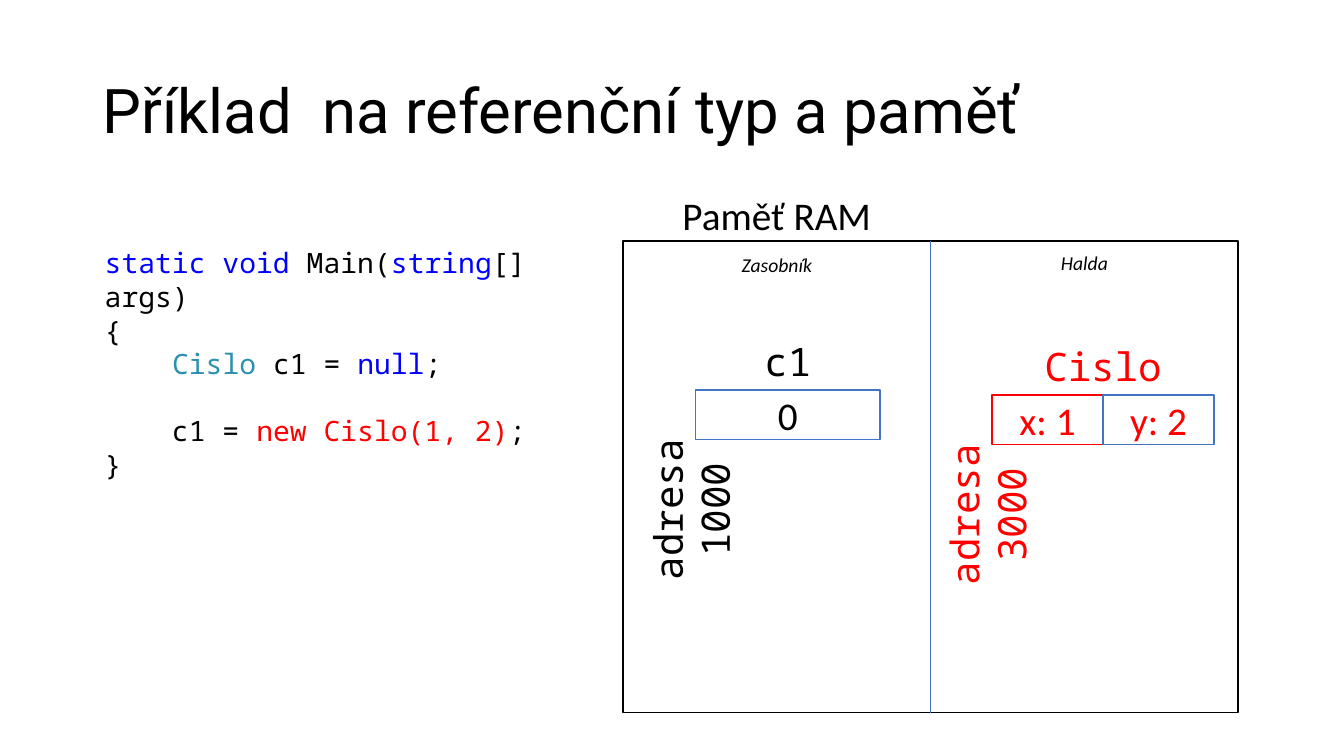
from lxml import etree
from pptx import Presentation
from pptx.dml.color import RGBColor
from pptx.enum.shapes import MSO_CONNECTOR, MSO_SHAPE
from pptx.enum.text import MSO_ANCHOR, MSO_AUTO_SIZE, PP_ALIGN
from pptx.oxml.ns import qn
from pptx.util import Inches, Pt

RECTANGLE, STRAIGHT = MSO_SHAPE.RECTANGLE, MSO_CONNECTOR.STRAIGHT
LEFT, CENTER = PP_ALIGN.LEFT, PP_ALIGN.CENTER
TOP, MIDDLE = MSO_ANCHOR.TOP, MSO_ANCHOR.MIDDLE
GROW, FIXED = MSO_AUTO_SIZE.SHAPE_TO_FIT_TEXT, MSO_AUTO_SIZE.NONE

BLACK = RGBColor(0, 0, 0)
WHITE = RGBColor(255, 255, 255)
RED = RGBColor(255, 0, 0)
KEYWORD = RGBColor(0, 0, 255)
TYPE_NAME = RGBColor(0x2B, 0x91, 0xAF)
ACCENT = RGBColor(0x44, 0x72, 0xC4)

SANS, MONO, HEADING = "Calibri", "Noto Sans Mono", "Roboto"

TITLE = "Příklad  na referenční typ a paměť"
CODE = [
    [("static void", KEYWORD), (" Main(", BLACK), ("string", KEYWORD), ("[] args)", BLACK)],
    [("{", BLACK)],
    [("    ", BLACK), ("Cislo", TYPE_NAME), (" c1 = ", BLACK), ("null", KEYWORD), (";", BLACK)],
    [("    c1 = ", BLACK), ("new Cislo(1, 2)", RED), (";", BLACK)],
    [("}", BLACK)],
]
CODE_GAPS = {3: 24}

RAM_X, RAM_Y, RAM_W, RAM_H = 6.18, 2.39, 6.1, 4.68
HALF = RAM_W / 2
HEAP_X = RAM_X + HALF
LABEL_H, CELL_H, REGION_H = 0.57, 0.49, 0.34
STACK_CELL = (6.9, 3.87, 1.83)
HEAP_CELL = (9.84, 3.92, 2.2)

REGIONS = [("Zasobník", RAM_X, 2.46), ("Halda", HEAP_X, 2.44)]
VARIABLES = [
    ("c1", BLACK, STACK_CELL, [("0", ACCENT)], "adresa 1000", 6.62, 2.6),
    ("Cislo", RED, HEAP_CELL, [("x: 1", RED), ("y: 2", ACCENT)], "adresa 3000", 9.56, 2.73),
]


def write(frame, lines, font, size, align=LEFT, anchor=TOP, autosize=GROW, italic=False, gaps={}):
    layout = {"word_wrap": True, "auto_size": autosize, "vertical_anchor": anchor}
    for key, value in layout.items():
        setattr(frame, key, value)
    for row, spans in enumerate(lines):
        paragraph = frame.paragraphs[0] if row == 0 else frame.add_paragraph()
        paragraph.alignment = align
        if row in gaps:
            paragraph.space_before = Pt(gaps[row])
        for words, color in spans:
            run = paragraph.add_run()
            run.text = words
            for key, value in {"name": font, "size": Pt(size), "italic": italic}.items():
                setattr(run.font, key, value)
            run.font.color.rgb = color


def add_label(slide, box, lines, font, size, **format_values):
    label = slide.shapes.add_textbox(*map(Inches, box))
    write(label.text_frame, lines, font, size, **format_values)
    return label


def add_box(shapes, box, border):
    rectangle = shapes.add_shape(RECTANGLE, *map(Inches, box))
    rectangle.shadow.inherit = False
    rectangle.fill.solid()
    rectangle.fill.fore_color.rgb = WHITE
    rectangle.line.color.rgb = border
    rectangle.line.width = Pt(1)
    return rectangle


def add_title(slide):
    title = slide.shapes.title
    place = {"left": 0.92, "top": 0.4, "width": 11.5, "height": 1.45}
    for key, value in place.items():
        setattr(title, key, Inches(value))
    write(title.text_frame, [[(TITLE, BLACK)]], HEADING, 44, anchor=MIDDLE, autosize=FIXED)
    title.text_frame.paragraphs[0].line_spacing = 0.9


def add_memory(slide):
    add_box(slide.shapes, (RAM_X, RAM_Y, RAM_W, RAM_H), BLACK)
    add_label(slide, (6.67, 1.85, 5.75, LABEL_H), [[("Paměť RAM", BLACK)]], SANS, 28)
    for region, x, y in REGIONS:
        add_label(slide, (x, y, HALF, REGION_H), [[(region, BLACK)]], SANS, 14,
                  align=CENTER, italic=True)
    ends = (HEAP_X, RAM_Y + RAM_H, HEAP_X, RAM_Y)
    divider = slide.shapes.add_connector(STRAIGHT, *map(Inches, ends))
    divider.line.color.rgb = ACCENT
    divider.line.width = Pt(0.5)
    etree.SubElement(divider._element.spPr, qn("a:effectLst"))


def add_variable(slide, name, color, place, values, address, address_x, address_w):
    x, y, width = place
    add_label(slide, (x, y - LABEL_H, width, LABEL_H), [[(name, color)]], MONO, 28, align=CENTER)
    shapes = slide.shapes.add_group_shape().shapes if len(values) > 1 else slide.shapes
    cell_w = width / len(values)
    for column, (value, border) in enumerate(values):
        cell = add_box(shapes, (x + column * cell_w, y, cell_w, CELL_H), border)
        write(cell.text_frame, [[(value, color)]], SANS, 28, CENTER, MIDDLE, FIXED)
    box = (address_x - address_w / 2, y + 0.9, address_w, LABEL_H)
    label = add_label(slide, box, [[(address, color)]], MONO, 28, align=CENTER)
    label.rotation = 270


def main():
    deck = Presentation()
    deck.slide_width, deck.slide_height = Inches(13.33), Inches(7.5)
    slide = deck.slides.add_slide(deck.slide_layouts[5])
    add_title(slide)
    add_label(slide, (0.94, RAM_Y, 5.22, 2.12), CODE, MONO, 20, gaps=CODE_GAPS)
    add_memory(slide)
    for variable in VARIABLES:
        add_variable(slide, *variable)
    deck.save("out.pptx")


if __name__ == "__main__":
    main()
